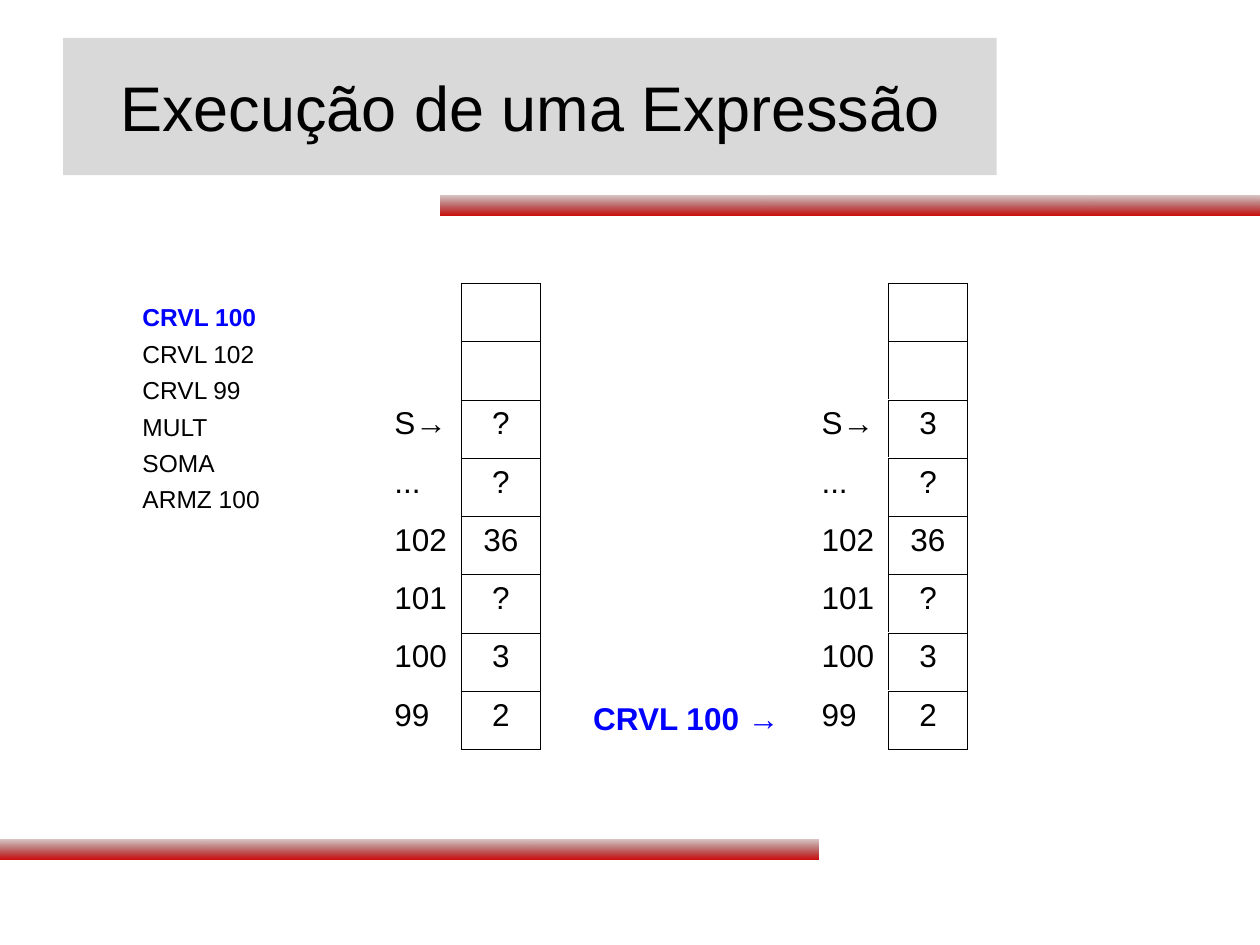
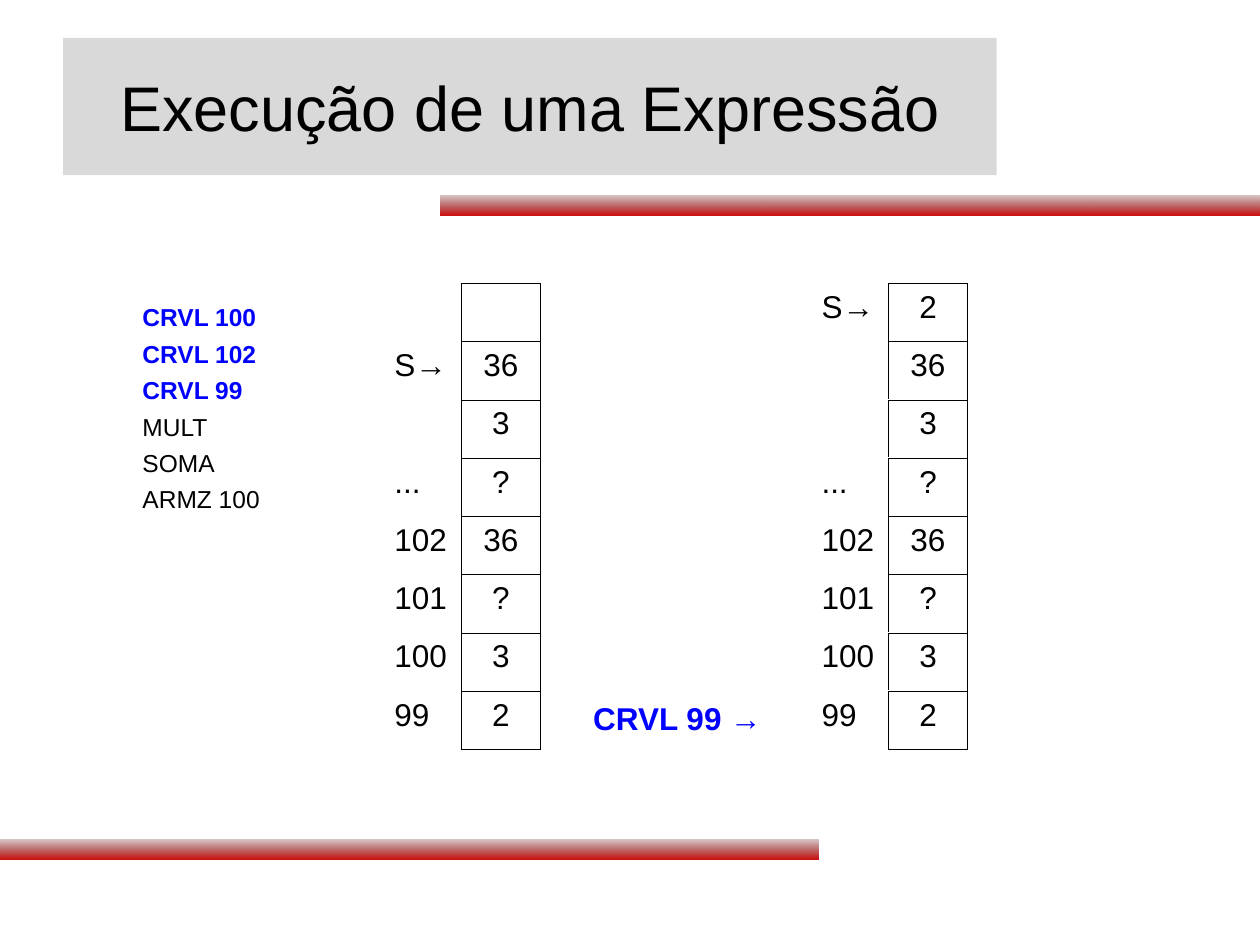
from pptx import Presentation
from pptx.dml.color import RGBColor
from pptx.enum.shapes import MSO_SHAPE as Shape
from pptx.enum.text import MSO_ANCHOR as Anchor, MSO_AUTO_SIZE as Fit, PP_ALIGN as Align
from pptx.oxml.ns import qn
from pptx.util import Inches, Pt
from lxml.etree import SubElement

BLACK = RGBColor(0x00, 0x00, 0x00)
BLUE = RGBColor(0x00, 0x00, 0xFF)
GREY = RGBColor(0xD9, 0xD9, 0xD9)
DARK = RGBColor(0x5E, 0x00, 0x00)
RED = RGBColor(0xCC, 0x00, 0x00)
FONT = "Arial"

TITLE = "Execução de uma Expressão"
CODE = ["CRVL 100", "CRVL 102", "CRVL 99", "MULT", "SOMA", "ARMZ 100"]
MEMORY = [("...", "?"), ("102", "36"), ("101", "?"), ("100", "3"), ("99", "2")]
DEPTH = 3  # stack rows drawn above the memory
STEPS = [  # instructions done, stack before, stack after (bottom first)
    (1, ["?"], ["3"]),
    (3, ["3", "36"], ["3", "36", "2"]),
]


def place(shape, left, top, width, height):
    shape.left, shape.top = Inches(left), Inches(top)
    shape.width, shape.height = Inches(width), Inches(height)


def add_run(para, text, size, color=BLACK, bold=False):
    run = para.add_run()
    run.text = text
    font = run.font
    font.name, font.size, font.bold = FONT, Pt(size), bold
    font.color.rgb = color


def add_bar(slide, left, top):
    """Draw a gradient bar and hand it to the layout, so all slides show it."""
    bar = slide.shapes.add_shape(
        Shape.RECTANGLE, Inches(left), Inches(top), Inches(6.5), Inches(0.16))
    bar.shadow.inherit = False
    bar.line.fill.background()
    bar.fill.gradient()
    bar.fill.gradient_angle = 270
    for stop, color in zip(bar.fill.gradient_stops, (DARK, RED)):
        stop.color.rgb = color
    first = bar.element.xpath(".//a:gs/a:srgbClr")[0]
    SubElement(first, qn("a:alpha"), val="21000")
    slide.slide_layout.shapes.element.append(bar.element)


def add_title(slide):
    title = slide.shapes.title
    place(title, 0.5, 0.3, 7.41, 1.09)
    title.fill.solid()
    title.fill.fore_color.rgb = GREY
    frame = title.text_frame
    frame.vertical_anchor = Anchor.MIDDLE
    para = frame.paragraphs[0]
    para.alignment = Align.CENTER
    add_run(para, TITLE, 36)


def add_code(slide, done):
    """List the program, with the instructions already run in blue."""
    body = slide.placeholders[1]
    place(body, 0.59, 2.33, 1.73, 2.68)
    frame = body.text_frame
    frame.auto_size = Fit.NONE
    frame.margin_top = Inches(0.07)
    for i, line in enumerate(CODE):
        para = frame.add_paragraph() if i else frame.paragraphs[0]
        para.level = 1
        props = para._p.get_or_add_pPr()
        props.set("marL", str(Inches(0.44)))
        props.set("indent", "0")
        SubElement(props, qn("a:buNone"))
        para.space_before = Pt(4 if i else 0)
        ran = i < done
        add_run(para, line, 14, BLUE if ran else BLACK, ran)


def add_edges(cell, sides):
    props = cell._tc.get_or_add_tcPr()
    for side in sides:
        edge = SubElement(props, qn(f"a:ln{side}"), w=str(Pt(0.45)))
        fill = SubElement(edge, qn("a:solidFill"))
        SubElement(fill, qn("a:srgbClr"), val=str(BLACK))


def add_stack(slide, left, stack):
    """Draw memory with the stack above it, S marking the stack top."""
    free = DEPTH - len(stack)
    marks = [""] * free + ["S→"] + [""] * (len(stack) - 1)
    cells = [""] * free + stack[::-1]
    rows = list(zip(marks, cells)) + MEMORY
    table = slide.shapes.add_table(
        len(rows), 2, Inches(left), Inches(2.25), Inches(1.26), Inches(3.7)).table
    table.first_row = table.horz_banding = False
    for r, row in enumerate(rows):
        for c, text in enumerate(row):
            cell = table.cell(r, c)
            add_edges(cell, "LRTB" if c else "R")
            cell.fill.background()
            para = cell.text_frame.paragraphs[0]
            para.alignment = Align.CENTER if c else Align.LEFT
            if text:
                add_run(para, text, 18)


def add_step(slide, text):
    box = slide.shapes.add_textbox(
        Inches(4.61), Inches(5.48), Inches(1.73), Inches(0.47))
    frame = box.text_frame
    frame.word_wrap = True
    frame.margin_top = Inches(0.07)
    add_run(frame.paragraphs[0], f"{text} →", 18, BLUE, True)


def main():
    deck = Presentation()
    deck.slide_width, deck.slide_height = Inches(10), Inches(7.5)
    layout = deck.slide_layouts[1]
    for done, before, after in STEPS:
        slide = deck.slides.add_slide(layout)
        add_title(slide)
        add_code(slide, done)
        add_stack(slide, 3.03, before)
        add_stack(slide, 6.42, after)
        add_step(slide, CODE[done - 1])
    add_bar(slide, 0, 6.66)
    add_bar(slide, 3.5, 1.55)
    deck.save("out.pptx")


if __name__ == "__main__":
    main()
